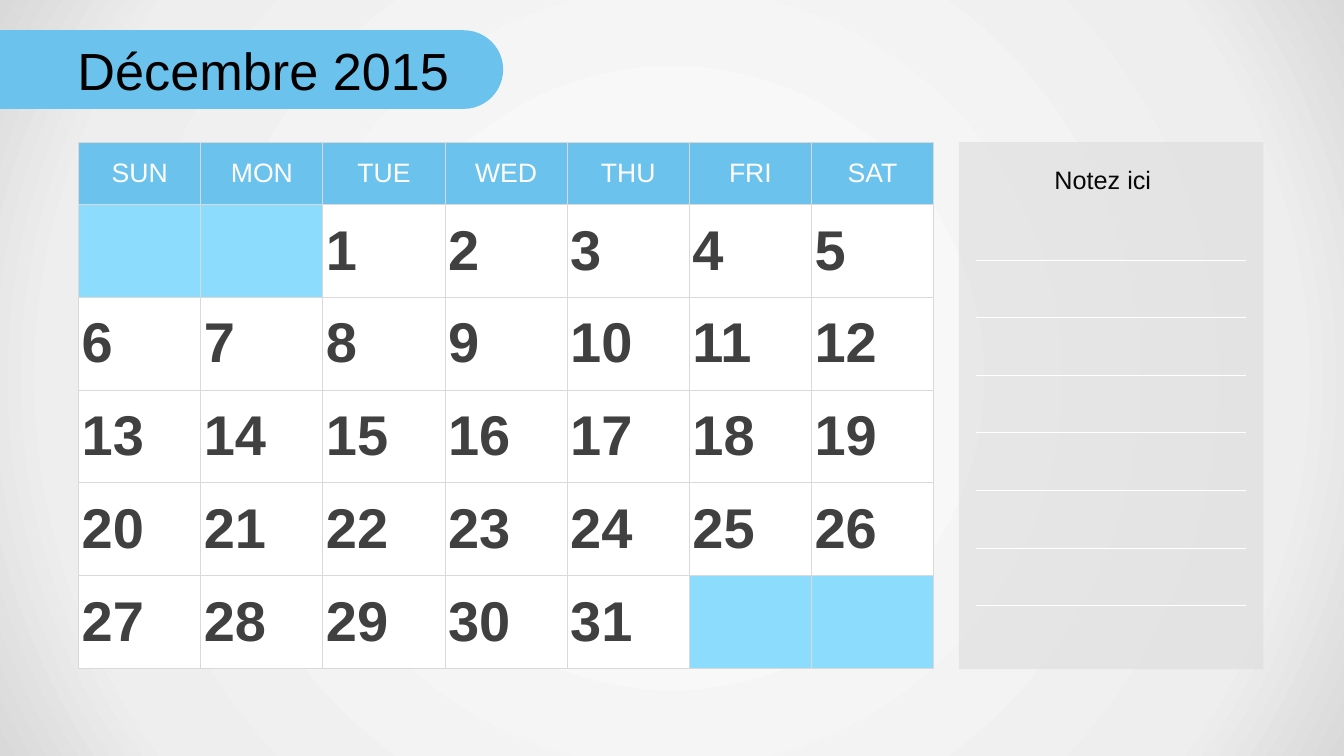
from lxml import etree
from pptx import Presentation
from pptx.dml.color import RGBColor
from pptx.enum.shapes import MSO_CONNECTOR, MSO_SHAPE
from pptx.enum.text import MSO_ANCHOR, PP_ALIGN
from pptx.oxml.ns import qn
from pptx.util import Inches, Pt

ROUND, RECT = MSO_SHAPE.ROUND_2_SAME_RECTANGLE, MSO_SHAPE.RECTANGLE
LINE, MID = MSO_CONNECTOR.STRAIGHT, MSO_ANCHOR.MIDDLE
LEFT, MIDDLE = PP_ALIGN.LEFT, PP_ALIGN.CENTER
BLUE, PALE, WHITE, GREY = "6BC2ED", "8CDCFE", "FFFFFF", "D9D9D9"
DAYS = ["SUN", "MON", "TUE", "WED", "THU", "FRI", "SAT"]
FIRST, LAST, WEEKS = 2, 31, 5


def paint(part, color):
    """Give a fill, or a line's fill, one solid colour."""
    part.solid()
    part.fore_color.rgb = RGBColor.from_string(color)


def write(frame, text, color, align=LEFT, **style):
    para = frame.paragraphs[0]
    para.alignment = align
    run = para.add_run()
    run.text = text
    for key, value in {"name": "Arial", **style}.items():
        setattr(run.font, key, value)
    paint(run.font.fill, color)


prs = Presentation()
prs.slide_width, prs.slide_height = Inches(13.33), Inches(7.5)
slide = prs.slides.add_slide(prs.slide_layouts[6])
shapes = slide.shapes

# Background: a round gradient from the centre
slide.background.fill.gradient()
grad = next(slide.element.iter(qn("a:gradFill")))
for child in list(grad):
    grad.remove(child)
stops = etree.SubElement(grad, qn("a:gsLst"))
for share, color in [(0, WHITE), (81, "EEEEEE"), (100, GREY)]:
    stop = etree.SubElement(stops, qn("a:gs"), pos=str(share * 1000))
    etree.SubElement(stop, qn("a:srgbClr"), val=color)
round_way = etree.SubElement(grad, qn("a:path"), {"path": "circle"})
half = dict.fromkeys("ltrb", "50000")
etree.SubElement(round_way, qn("a:fillToRect"), half)

# Title on a tab that is turned to round its right end
tab_w, tab_h, tab_top = 4.99, 0.78, 0.3
tab = shapes.add_shape(ROUND, Inches((tab_w - tab_h) / 2),
                       Inches(tab_top - (tab_w - tab_h) / 2),
                       Inches(tab_h), Inches(tab_w))
tab.rotation = 90
tab.adjustments[0], tab.adjustments[1] = 0.5, 0
tab.shadow.inherit = False
paint(tab.fill, BLUE)
tab.line.fill.background()
title = shapes.add_textbox(Inches(0.67), Inches(tab_top), Inches(12), Inches(tab_h))
title.text_frame.word_wrap = True
title.text_frame.vertical_anchor = MID
write(title.text_frame, "Décembre 2015", "000000", size=Pt(37.3))

# Month grid
left, top, col, head, row = 0.78, 1.41, 8.48 / 7, 0.62, 0.92
grid = shapes.add_table(WEEKS + 1, len(DAYS), Inches(left), Inches(top),
                        Inches(col * len(DAYS)), Inches(head + row * WEEKS)).table
grid.first_row = grid.horz_banding = False
for band in grid.columns:
    band.width = Inches(col)
for i, band in enumerate(grid.rows):
    band.height = Inches(row if i else head)

for i, cell in enumerate(grid.iter_cells()):
    props = cell._tc.get_or_add_tcPr()
    for side in ("lnL", "lnR", "lnT", "lnB"):
        edge = etree.SubElement(props, qn(f"a:{side}"), w=str(Pt(0.75)))
        ink = etree.SubElement(edge, qn("a:solidFill"))
        etree.SubElement(ink, qn("a:srgbClr"), val=GREY)
    cell.vertical_anchor = MID
    day = i - len(DAYS) - FIRST + 1
    if i < len(DAYS):
        paint(cell.fill, BLUE)
        write(cell.text_frame, DAYS[i], WHITE, MIDDLE, size=Pt(19))
    elif 1 <= day <= LAST:
        paint(cell.fill, WHITE)
        cell.margin_left = cell.margin_right = Inches(0.03)
        cell.margin_top = cell.margin_bottom = Inches(0.01)
        write(cell.text_frame, str(day), "404040", size=Pt(40), bold=True)
    else:
        paint(cell.fill, PALE)

# Notes panel with ruled lines
side, wide, inset = 9.51, 3.02, 0.17
panel = shapes.add_shape(RECT, Inches(side), Inches(top), Inches(wide), Inches(5.23))
panel.shadow.inherit = False
paint(panel.fill, GREY)
tint = next(panel.element.spPr.iter(qn("a:srgbClr")))
etree.SubElement(tint, qn("a:alpha"), val="50000")
panel.line.fill.background()
note = shapes.add_textbox(Inches(10.36), Inches(1.58), Inches(1.31), Inches(0.4))
note.text_frame.word_wrap = False
write(note.text_frame, "Notez ici", "080808", size=Pt(18))

rule_top, rule_end, rules = 2.58, 6.01, 7
for i in range(rules):
    y = Inches(rule_top + i * (rule_end - rule_top) / (rules - 1))
    rule = shapes.add_connector(LINE, Inches(side + inset), y,
                                Inches(side + wide - inset), y)
    paint(rule.line.fill, WHITE)
    rule.line.width = Pt(0.75)
    etree.SubElement(rule.element.spPr, qn("a:effectLst"))

prs.save("out.pptx")
